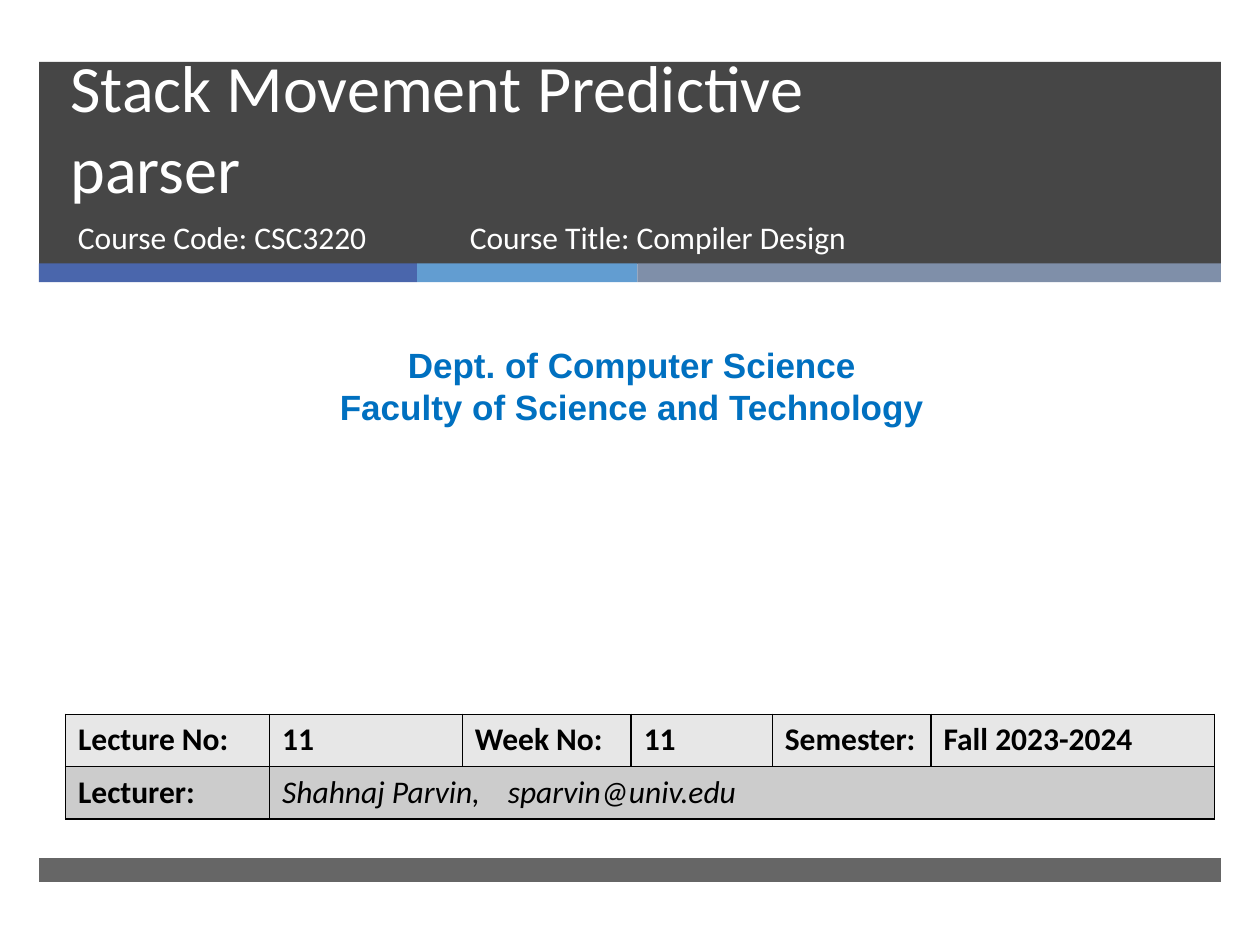
from typing import NamedTuple

from lxml.etree import SubElement
from pptx import Presentation
from pptx.dml.color import RGBColor
from pptx.enum.shapes import MSO_SHAPE as Preset
from pptx.enum.text import MSO_ANCHOR as Anchor, MSO_AUTO_SIZE as AutoSize, PP_ALIGN as Align
from pptx.oxml import parse_xml
from pptx.oxml.ns import nsdecls, qn
from pptx.util import Emu, Inches, Pt

COLUMNS, ROWS = 100, 75
SLIDE_WIDTH, SLIDE_HEIGHT = Inches(10), Inches(7.5)

CHARCOAL = RGBColor(0x26, 0x26, 0x26)
ROYAL = RGBColor(0x4A, 0x66, 0xAC)
SKY = RGBColor(0x62, 0x9D, 0xD1)
SLATE = RGBColor(0x7F, 0x8F, 0xA9)
BLUE = RGBColor(0x00, 0x70, 0xC0)
WHITE = RGBColor(0xFF, 0xFF, 0xFF)
BLACK = RGBColor(0, 0, 0)
LIGHT_ROW = RGBColor(0xE7, 0xE7, 0xE7)
DARK_ROW = RGBColor(0xCC, 0xCC, 0xCC)


class Area(NamedTuple):
    column: float
    row: float
    columns: float
    rows: float


class Band(NamedTuple):
    area: Area
    color: RGBColor
    opacity: int = 100


class Label(NamedTuple):
    area: Area
    lines: tuple[str, ...]
    style: dict
    align: Align = Align.LEFT


LEFT, FULL = 3.1, 93.8
STRIPES = ((30, ROYAL), (17.5, SKY), (46.3, SLATE))
HEADER = Band(Area(LEFT, 4.9, FULL, 16.05), CHARCOAL, 85)
FOOTER = Band(Area(LEFT, 68.1, FULL, 1.9), CHARCOAL, 70)

TITLE_STYLE = {"name": "Calibri", "size": Pt(37.8), "color": WHITE}
COURSE_STYLE = {"name": "Calibri", "size": Pt(18), "color": WHITE}
DEPARTMENT_STYLE = {"name": "Arial", "size": Pt(20), "color": BLUE, "bold": True}
HEADING_STYLE = {"name": "Calibri", "size": Pt(18), "color": BLACK, "bold": True}
LECTURER_STYLE = HEADING_STYLE | {"bold": False, "italic": True}

TITLE = Label(Area(4.6, 5, 85.4, 11.9), ("Stack Movement Predictive \vparser",), TITLE_STYLE)
LABELS = (
    Label(Area(5.2, 16.8, 30.5, 5.3), ("Course Code: CSC3220",), COURSE_STYLE),
    Label(Area(36.3, 16.8, 45.5, 5.3), ("Course Title: Compiler Design",), COURSE_STYLE),
    Label(Area(0.8, 26.8, 98.7, 7.7),
          ("Dept. of Computer Science", "Faculty of Science and Technology"),
          DEPARTMENT_STYLE, Align.CENTER),
)

LECTURE_AREA = Area(5.2, 56.7, 91.2, 8.3)
LECTURE_COLUMNS = (16.2, 15.3, 13.4, 11.2, 12.6, 22.5)
LECTURE_ROWS = (
    ("Lecture No:", "11", "Week No:", "11", "Semester:", "Fall 2023-2024"),
    ("Lecturer:", "Shahnaj Parvin,\tsparvin@univ.edu", "", "", "", ""),
)


def across(columns: float) -> Emu:
    return Emu(round(SLIDE_WIDTH * columns / COLUMNS))


def down(rows: float) -> Emu:
    return Emu(round(SLIDE_HEIGHT * rows / ROWS))


def place(area: Area) -> tuple[Emu, Emu, Emu, Emu]:
    return across(area.column), down(area.row), across(area.columns), down(area.rows)


def style_text(frame, style: dict, align: Align = Align.LEFT) -> None:
    for paragraph in frame.paragraphs:
        paragraph.alignment = align
        for run in paragraph.runs:
            for key, value in style.items():
                if key == "color":
                    run.font.color.rgb = value
                else:
                    setattr(run.font, key, value)


def draw_band(slide, band: Band) -> None:
    bar = slide.shapes.add_shape(Preset.RECTANGLE, *place(band.area))
    bar.shadow.inherit = False
    bar.line.fill.background()
    bar.fill.solid()
    bar.fill.fore_color.rgb = band.color
    if band.opacity < 100:
        tint = bar.element.spPr.find(".//" + qn("a:srgbClr"))
        SubElement(tint, qn("a:alpha"), val=str(band.opacity * 1000))


def draw_label(slide, label: Label) -> None:
    frame = slide.shapes.add_textbox(*place(label.area)).text_frame
    frame.word_wrap = True
    frame.text = "\n".join(label.lines)
    style_text(frame, label.style, label.align)


def draw_title(slide, label: Label) -> None:
    title = slide.shapes.title
    title.element.getparent().append(title.element)
    title.left, title.top, title.width, title.height = place(label.area)
    frame = title.text_frame
    frame.text = label.lines[0]
    frame.word_wrap = True
    frame.auto_size = AutoSize.NONE
    frame.vertical_anchor = Anchor.BOTTOM
    frame.paragraphs[0].line_spacing = Pt(46)
    style_text(frame, label.style)


def outline_cell(cell) -> None:
    properties = cell._tc.get_or_add_tcPr()
    for index, side in enumerate("LRTB"):
        properties.insert(index, parse_xml(
            f'<a:ln{side} {nsdecls("a")} w="{Pt(1)}"><a:solidFill>'
            f'<a:srgbClr val="{BLACK}"/></a:solidFill></a:ln{side}>'))


def draw_lecture_table(slide) -> None:
    table = slide.shapes.add_table(
        len(LECTURE_ROWS), len(LECTURE_COLUMNS), *place(LECTURE_AREA)).table
    table.first_row = table.horz_banding = False
    for column, width in zip(table.columns, LECTURE_COLUMNS):
        column.width = across(width)
    for row, texts, color in zip(table.rows, LECTURE_ROWS, (LIGHT_ROW, DARK_ROW)):
        for cell, text in zip(row.cells, texts):
            cell.text = text
            cell.fill.solid()
            cell.fill.fore_color.rgb = color
            style_text(cell.text_frame, HEADING_STYLE)
            outline_cell(cell)
    lecturer = table.cell(1, 1)
    lecturer.merge(table.cell(1, len(LECTURE_COLUMNS) - 1))
    style_text(lecturer.text_frame, LECTURER_STYLE)
    stops = SubElement(lecturer.text_frame.paragraphs[0]._p.get_or_add_pPr(), qn("a:tabLst"))
    SubElement(stops, qn("a:tab"), pos=str(across(17.9)), algn="l")


def main() -> None:
    deck = Presentation()
    deck.slide_width, deck.slide_height = SLIDE_WIDTH, SLIDE_HEIGHT
    slide = deck.slides.add_slide(deck.slide_layouts.get_by_name("Title Only"))
    draw_band(slide, HEADER)
    column = LEFT
    for width, color in STRIPES:
        draw_band(slide, Band(Area(column, 20.9, width, 1.5), color))
        column += width
    draw_band(slide, FOOTER)
    draw_title(slide, TITLE)
    for label in LABELS:
        draw_label(slide, label)
    draw_lecture_table(slide)
    deck.save("out.pptx")


if __name__ == "__main__":
    main()
